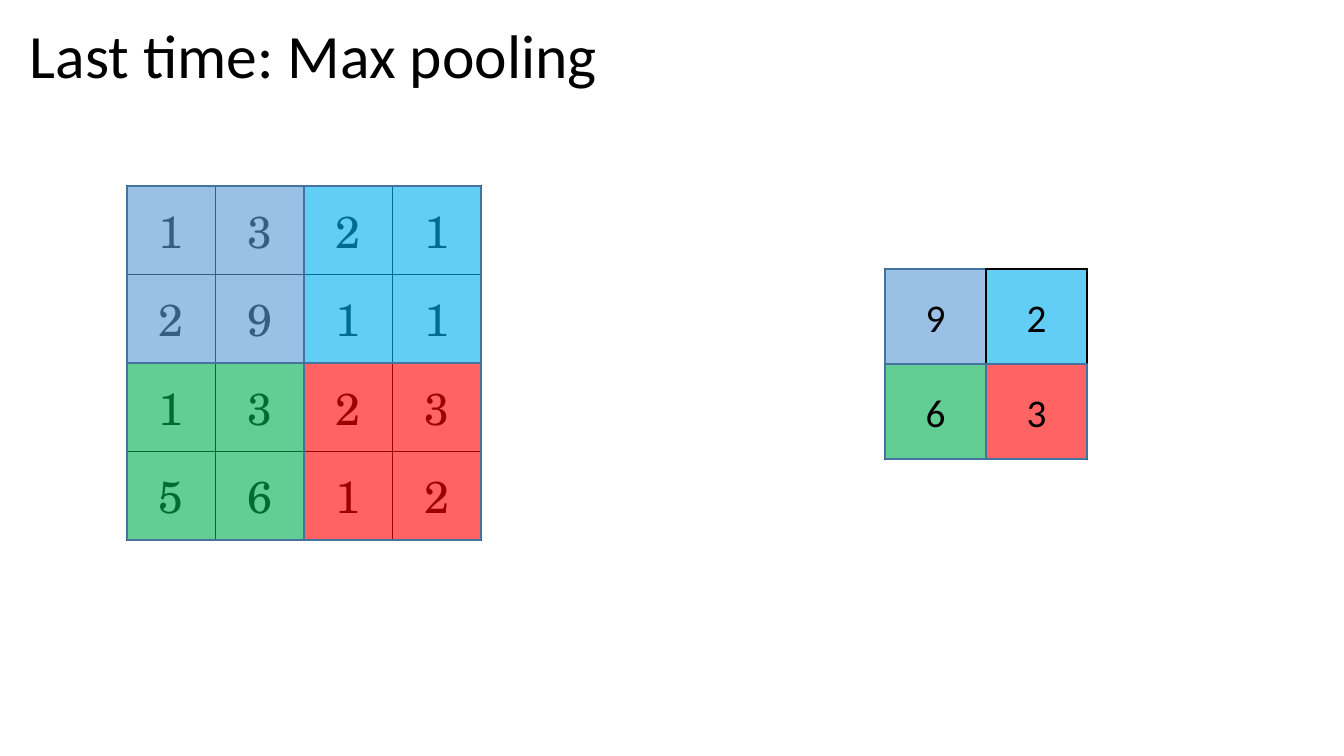
from lxml import etree
from pptx import Presentation
from pptx.dml.color import RGBColor
from pptx.enum import shapes, text
from pptx.oxml import ns
from pptx.util import Pt

# Content
TITLE = "Last time: Max pooling"
INPUT_VALUES = [[1, 3, 2, 1], [2, 9, 1, 1], [1, 3, 2, 3], [5, 6, 1, 2]]
POOLED_VALUES = [[9, 2], [6, 3]]

# Colours
BLACK = RGBColor(0x00, 0x00, 0x00)
OUTLINE = RGBColor(0x43, 0x73, 0x9E)
BLUE = RGBColor(0x5B, 0x9B, 0xD5)
CYAN = RGBColor(0x00, 0xB0, 0xF0)
GREEN = RGBColor(0x00, 0xB0, 0x50)
RED = RGBColor(0xFF, 0x00, 0x00)
QUADRANT_FILLS = [[BLUE, CYAN], [GREEN, RED]]
INPUT_LINES = [[OUTLINE, OUTLINE], [OUTLINE, OUTLINE]]
POOLED_LINES = [[OUTLINE, BLACK], [OUTLINE, OUTLINE]]
OPACITY = 61

# Layout in px: left, top, width, height
SLIDE_SIZE = (1344, 756)
TITLE_BOX = (20, 20, 1159, 146)
INPUT_BOX = (127, 186, 354, 354)
POOLED_BOX = (885, 269, 202, 190)


def px(length):
    return round(length * 914400 / 100.8)


def write(frame, words, size, font, align):
    frame.text = words
    para = frame.paragraphs[0]
    para.alignment = align
    span = para.runs[0]
    span.font.size = Pt(size)
    span.font.name = font
    span.font.color.rgb = BLACK
    return para


def add_border(cell):
    properties = cell._tc.get_or_add_tcPr()
    for place, side in enumerate(("lnL", "lnR", "lnT", "lnB")):
        line = etree.Element(ns.qn("a:" + side), w=str(Pt(1)))
        fill = etree.SubElement(line, ns.qn("a:solidFill"))
        etree.SubElement(fill, ns.qn("a:srgbClr"), val=str(BLACK))
        properties.insert(place, line)


def add_grid(page, box, count, values=None):
    left, top, width, height = box
    grid = page.shapes.add_table(count, count, *map(px, box)).table
    grid.first_row = grid.horz_banding = False
    for index in range(count):
        grid.columns[index].width = px(width / count)
        grid.rows[index].height = px(height / count)
    for index, cell in enumerate(grid.iter_cells()):
        cell.fill.background()
        add_border(cell)
        cell.vertical_anchor = text.MSO_ANCHOR.MIDDLE
        if values:
            row, column = divmod(index, count)
            write(cell.text_frame, str(values[row][column]), 32,
                  "TeX Gyre Schola", text.PP_ALIGN.CENTER)


def add_quadrants(page, box, lines, values=None):
    left, top, width, height = box[0], box[1], box[2] / 2, box[3] / 2
    group = page.shapes.add_group_shape()
    for row, fills in enumerate(QUADRANT_FILLS):
        for column, color in enumerate(fills):
            tile = group.shapes.add_shape(
                shapes.MSO_SHAPE.RECTANGLE, px(left + column * width),
                px(top + row * height), px(width), px(height))
            tile.shadow.inherit = False
            tile.fill.solid()
            tile.fill.fore_color.rgb = color
            shade = tile._element.spPr.find(".//" + ns.qn("a:srgbClr"))
            etree.SubElement(shade, ns.qn("a:alpha"), val=str(OPACITY * 1000))
            tile.line.color.rgb = lines[row][column]
            tile.line.width = Pt(1)
            if values:
                tile.text_frame.vertical_anchor = text.MSO_ANCHOR.MIDDLE
                write(tile.text_frame, str(values[row][column]), 28,
                      "Calibri", text.PP_ALIGN.CENTER)


def main():
    deck = Presentation()
    deck.slide_width, deck.slide_height = map(px, SLIDE_SIZE)
    page = deck.slides.add_slide(deck.slide_layouts[6])

    # Title
    frame = page.shapes.add_textbox(*map(px, TITLE_BOX)).text_frame
    frame.word_wrap = True
    write(frame, TITLE, 44, "Calibri", text.PP_ALIGN.LEFT).line_spacing = 0.9

    # Grids, then the tinted pooling windows over them
    add_grid(page, INPUT_BOX, 4, INPUT_VALUES)
    add_grid(page, POOLED_BOX, 2)
    add_quadrants(page, INPUT_BOX, INPUT_LINES)
    add_quadrants(page, POOLED_BOX, POOLED_LINES, POOLED_VALUES)

    deck.save("out.pptx")


if __name__ == "__main__":
    main()
